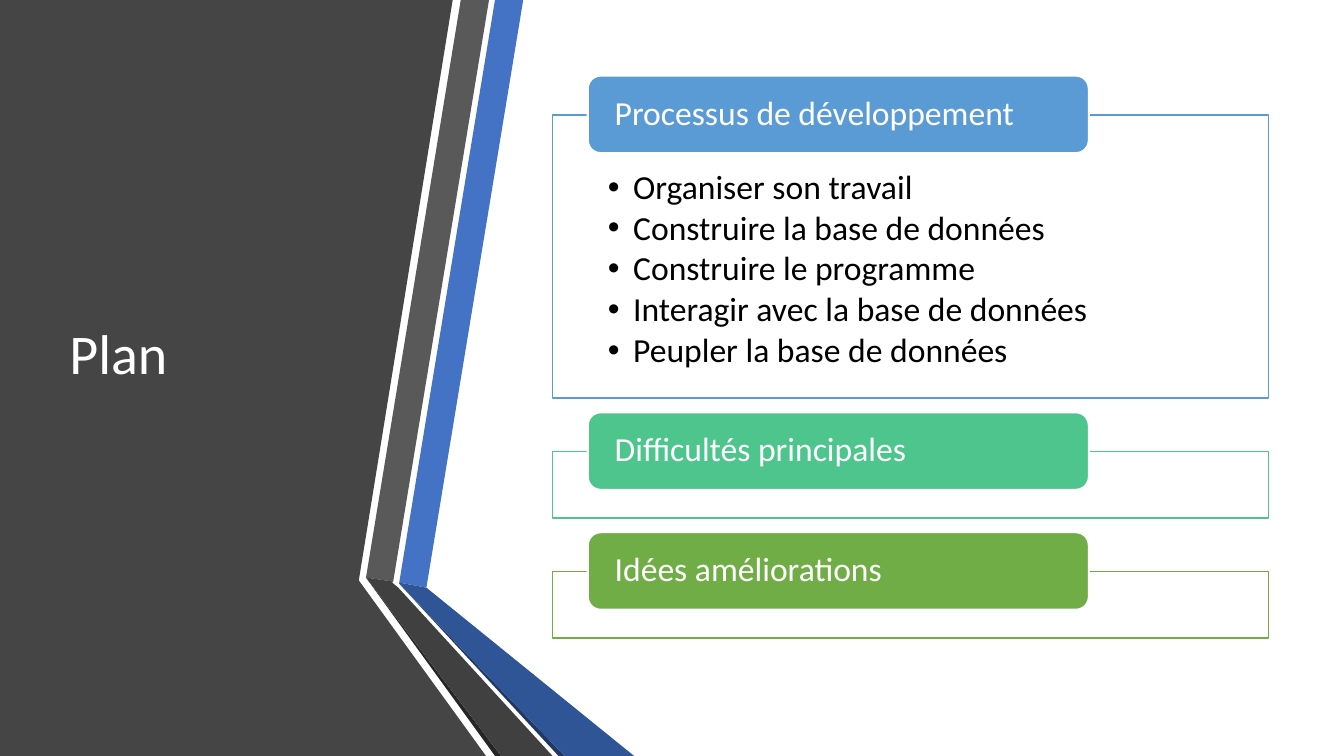
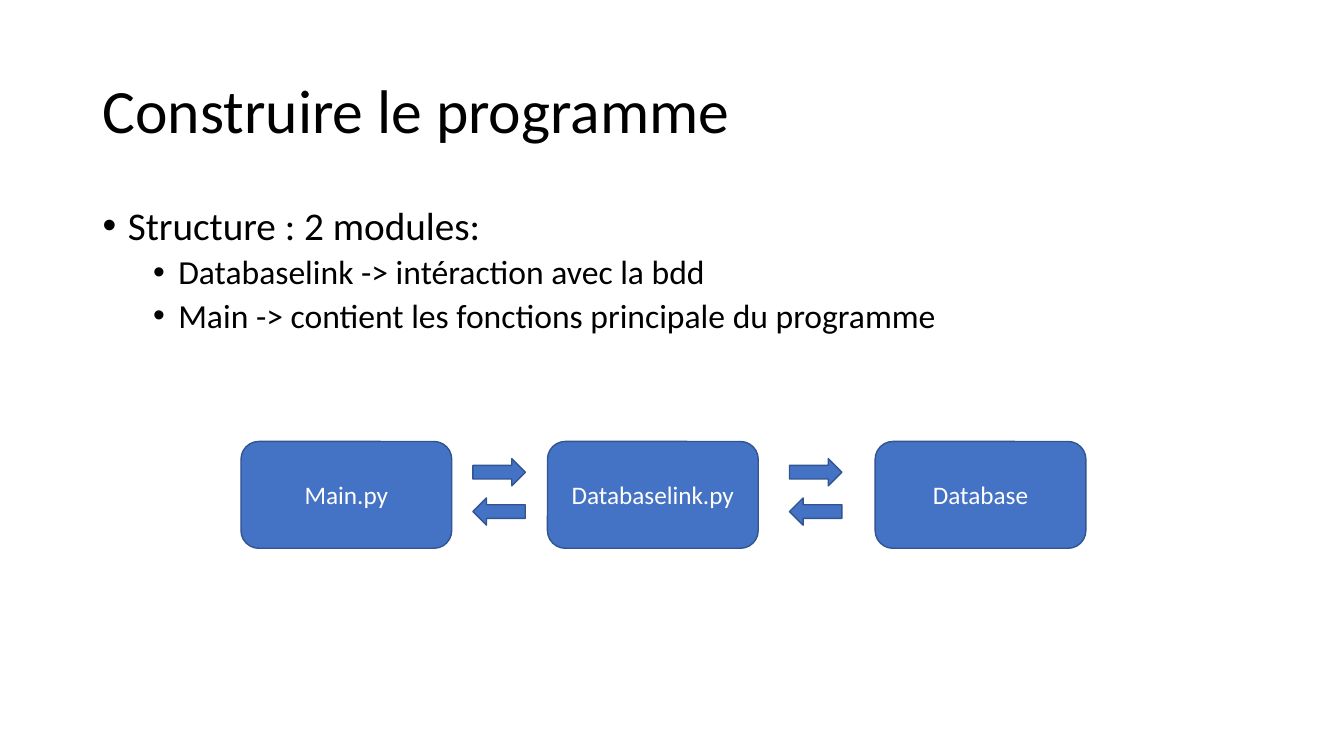
from lxml import etree
from pptx import Presentation, util as u
from pptx.dml.color import RGBColor
from pptx.enum import shapes, text
from pptx.oxml import ns

FONT = "Calibri"
COLOURS = {
    "white": "FFFFFF", "black": "000000",
    "panel": "454545", "grey": "595959", "dark grey": "404040", "near black": "262626",
    "blue": "4472C4", "deep blue": "2F5597", "navy": "203864", "outline": "325491",
    "sky": "5B9BD5", "mint": "4DC58D", "green": "70AD47",
}


def colour(name):
    return RGBColor.from_string(COLOURS[name])


def add_box(slide, box, kind=None, fill=None, line=None, line_width=1,
            lines=(), size=24, ink="black", align=text.PP_ALIGN.LEFT,
            anchor=text.MSO_ANCHOR.MIDDLE, insets=(0.1, 0.05, 0.1, 0.05),
            spacing=0.9, before=0, after=0, bullet_at=None, level=0):
    """Add a shape, or a text box if kind is None; append lines to box if it is a shape already."""
    if not isinstance(box, tuple):
        shape = box
    elif kind is None:
        shape = slide.shapes.add_textbox(*map(u.Inches, box))
    else:
        shape = slide.shapes.add_shape(kind, *map(u.Inches, box))
        shape.shadow.inherit = False
        shape.fill.solid()
        shape.fill.fore_color.rgb = colour(fill)
        shape.line.color.rgb = colour(line)
        shape.line.width = u.Pt(line_width)

    frame = shape.text_frame
    frame.word_wrap = True
    frame.vertical_anchor = anchor
    frame.margin_left, frame.margin_top, frame.margin_right, frame.margin_bottom = map(u.Inches, insets)
    for line_text in lines:
        paragraph = frame.add_paragraph() if frame.text else frame.paragraphs[0]
        paragraph.alignment = align
        paragraph.level = level
        paragraph.line_spacing = spacing
        paragraph.space_before, paragraph.space_after = u.Pt(before), u.Pt(after)
        if bullet_at is not None:
            properties = paragraph._p.get_or_add_pPr()
            properties.set("marL", str(u.Inches(bullet_at + 0.25)))
            properties.set("indent", str(u.Inches(-0.25)))
            etree.SubElement(properties, ns.qn("a:buFont")).set("typeface", "Arial")
            etree.SubElement(properties, ns.qn("a:buChar")).set("char", "•")
        run = paragraph.add_run()
        run.text = line_text
        run.font.name, run.font.size = FONT, u.Pt(size)
        run.font.color.rgb = colour(ink)
    return shape


presentation = Presentation()
presentation.slide_width, presentation.slide_height = u.Inches(13.33), u.Inches(7.5)
blank = presentation.slide_layouts[6]
ROUNDED = shapes.MSO_SHAPE.ROUNDED_RECTANGLE

# Slide 1: plan, with folded ribbons on the left
slide = presentation.slides.add_slide(blank)
ribbons = [
    ("panel", [(0, 0), (4.49, 0), (3.56, 5.75), (3.56, 5.76), (4.82, 7.5), (0, 7.5)]),
    ("blue", [(3.96, 5.78), (4.23, 5.83), (5.19, 0), (4.91, 0)]),
    ("grey", [(4.85, 0), (4.57, 0), (3.63, 5.73), (3.9, 5.77)]),
    ("near black", [(3.63, 5.73), (4.91, 7.5), (4.97, 7.5)]),
    ("navy", [(3.96, 5.79), (5.54, 7.5), (5.6, 7.5)]),
    ("deep blue", [(3.96, 5.78), (3.96, 5.79), (5.6, 7.5), (6.29, 7.5), (4.23, 5.83)]),
    ("dark grey", [(5.48, 7.5), (3.95, 5.83), (3.89, 5.78), (3.9, 5.77), (3.63, 5.73), (4.97, 7.5)]),
]
for fill, corners in ribbons:
    points = [(u.Inches(x), u.Inches(y)) for x, y in corners]
    builder = slide.shapes.build_freeform(*points[0])
    builder.add_line_segments(points[1:], close=True)
    ribbon = builder.convert_to_shape()
    ribbon.shadow.inherit = False
    ribbon.fill.solid()
    ribbon.fill.fore_color.rgb = colour(fill)
    ribbon.line.fill.background()

add_box(slide, (0.59, 0.75, 3.04, 5.58), lines=["Plan"], size=40, ink="white")

sections = [
    ("Processus de développement", "sky", 2.81, [
        "Organiser son travail", "Construire la base de données", "Construire le programme",
        "Interagir avec la base de données", "Peupler la base de données"]),
    ("Difficultés principales", "mint", 0.66, []),
    ("Idées améliorations", "green", 0.66, []),
]
label_top = 0.75
for heading, accent, height, steps in sections:
    frame_top = label_top + 0.39
    add_box(slide, (5.48, frame_top, 7.1, height), shapes.MSO_SHAPE.RECTANGLE, "white", accent,
            lines=steps, anchor=text.MSO_ANCHOR.TOP, insets=(0.55, 0.55, 0.55, 0.19),
            after=3.2, bullet_at=0, level=1)
    add_box(slide, (5.83, label_top, 4.97, 0.77), ROUNDED, accent, "white", 1.5,
            lines=[heading], ink="white", insets=(0.23, 0, 0.23, 0))
    label_top = frame_top + height + 0.14

# Slide 2: program structure
slide = presentation.slides.add_slide(blank)
add_box(slide, (0.92, 0.4, 11.5, 1.45), lines=["Construire le programme"], size=44)
body = add_box(slide, (0.92, 2, 11.5, 4.76), lines=["Structure : 2 modules:"], size=28,
               anchor=text.MSO_ANCHOR.TOP, before=10, bullet_at=0)
add_box(slide, body, lines=["Databaselink -> intéraction avec la bdd",
                            "Main -> contient les fonctions principale du programme"],
        anchor=text.MSO_ANCHOR.TOP, before=5, bullet_at=0.5, level=1)

for left, name in [(2.39, "Main.py"), (5.43, "Databaselink.py"), (8.68, "Database")]:
    add_box(slide, (left, 4.38, 2.09, 1.06), ROUNDED, "blue", "outline", lines=[name], size=18,
            ink="white", align=text.PP_ALIGN.CENTER, spacing=1.0)
for left in (4.69, 7.83):
    for top, rotation in [(4.55, 0), (4.94, 180)]:
        arrow = add_box(slide, (left, top, 0.52, 0.27), shapes.MSO_SHAPE.RIGHT_ARROW, "blue", "outline")
        arrow.rotation = rotation

presentation.save("out.pptx")
